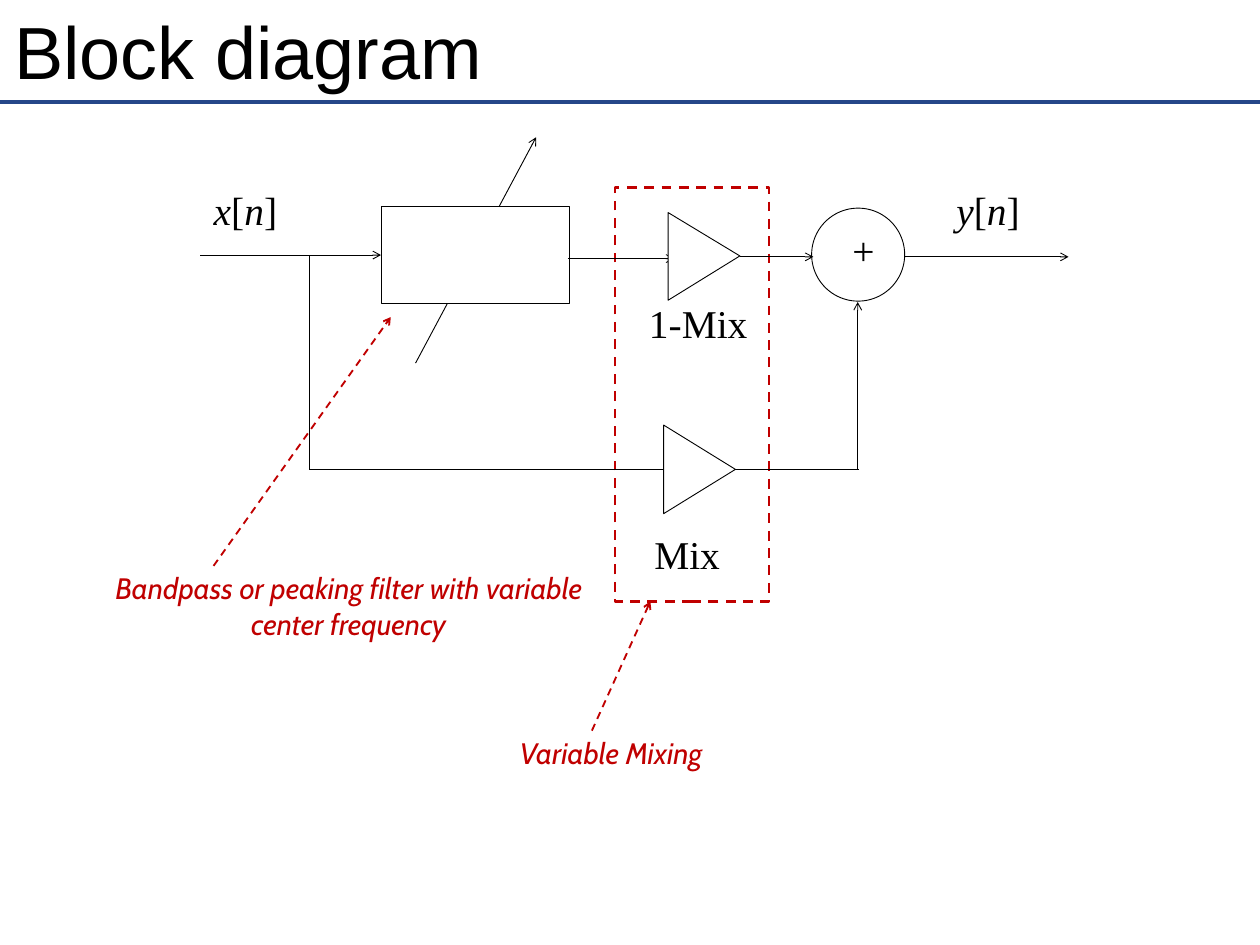
from dataclasses import dataclass

from lxml.etree import SubElement
from pptx import Presentation
from pptx.dml.color import RGBColor
from pptx.enum.dml import MSO_LINE_DASH_STYLE as Dash
from pptx.enum.shapes import MSO_CONNECTOR as Connector, MSO_SHAPE as Preset
from pptx.enum.text import MSO_ANCHOR as Anchor, MSO_AUTO_SIZE as AutoSize, PP_ALIGN as Align
from pptx.oxml.ns import qn
from pptx.util import Emu, Pt

COLORS = {"ink": "000000", "paper": "FFFFFF", "note": "C00000", "rule": "254789"}
SERIF, SANS, TITLE_FONT = "Times New Roman", "Cabin", "Arial"
EMU_PER_PX = 9144


@dataclass(frozen=True)
class Wire:
    start: tuple[int, int]
    end: tuple[int, int]
    arrow: bool = False
    color: str = "ink"
    width: float = 0.75
    dashed: bool = False


@dataclass(frozen=True)
class Block:
    box: tuple[int, int, int, int]
    preset: Preset = Preset.RECTANGLE


@dataclass(frozen=True)
class Gain:
    left: int
    top: int
    width: int
    height: int


@dataclass(frozen=True)
class Label:
    box: tuple[int, int, int, int]
    wording: tuple[tuple[str, bool], ...]
    font: str = SERIF
    size: int = 32
    color: str = "ink"
    wrap: bool = False
    inset: tuple[int, int] = (0, 0)


def px(*lengths: int) -> list[Emu]:
    return [Emu(length * EMU_PER_PX) for length in lengths]


def rgb(name: str) -> RGBColor:
    return RGBColor.from_string(COLORS[name])


def style_line(line, color: str, width: float, dashed: bool = False) -> None:
    line.color.rgb = rgb(color)
    line.width = Pt(width)
    if dashed:
        line.dash_style = Dash.DASH


def style_font(font, name: str, size: int, color: str) -> None:
    font.name = name
    font.size = Pt(size)
    font.color.rgb = rgb(color)


def draw_wire(shapes, wire: Wire):
    connector = shapes.add_connector(Connector.STRAIGHT, *px(*wire.start, *wire.end))
    style_line(connector.line, wire.color, wire.width, wire.dashed)
    properties = connector._element.spPr
    if wire.arrow:
        SubElement(properties.find(qn("a:ln")), qn("a:tailEnd"), type="arrow")
    SubElement(properties, qn("a:effectLst"))
    return connector


def style_block(shape) -> None:
    shape.shadow.inherit = False
    shape.fill.solid()
    shape.fill.fore_color.rgb = rgb("paper")
    style_line(shape.line, "ink", 0.75)


def draw_block(shapes, block: Block):
    shape = shapes.add_shape(block.preset, *px(*block.box))
    style_block(shape)
    return shape


def draw_gain(shapes, gain: Gain) -> None:
    bottom = gain.top + gain.height
    tip = (gain.left + gain.width, gain.top + gain.height // 2)
    outline = shapes.build_freeform(gain.left, bottom, scale=EMU_PER_PX)
    outline.add_line_segments([(gain.left, gain.top), tip], close=True)
    style_block(outline.convert_to_shape())


def draw_label(shapes, label: Label) -> None:
    frame = shapes.add_textbox(*px(*label.box)).text_frame
    frame.margin_left = frame.margin_right = px(label.inset[0])[0]
    frame.margin_top = frame.margin_bottom = px(label.inset[1])[0]
    frame.word_wrap = label.wrap
    frame.auto_size = AutoSize.SHAPE_TO_FIT_TEXT
    paragraph = frame.paragraphs[0]
    paragraph.alignment = Align.CENTER
    for text, italic in label.wording:
        run = paragraph.add_run()
        run.text = text
        style_font(run.font, label.font, label.size, label.color)
        run.font.italic = italic


def draw_title(title) -> None:
    title.left, title.top, title.width, title.height = px(10, 6, 1401, 101)
    frame = title.text_frame
    frame.text = "Block diagram"
    frame.vertical_anchor = Anchor.MIDDLE
    frame.auto_size = AutoSize.NONE
    frame.margin_left = frame.margin_right = frame.margin_top = frame.margin_bottom = px(6)[0]
    frame.paragraphs[0].alignment = Align.LEFT
    style_font(frame.paragraphs[0].runs[0].font, TITLE_FONT, 60, "ink")


def signal(name: str) -> tuple[tuple[str, bool], ...]:
    return (name, True), ("[", False), ("n", True), ("]", False)


def note(box: tuple[int, int, int, int], text: str, wrap: bool = False) -> Label:
    return Label(box, ((text, True),), SANS, 24, "note", wrap, (10, 5))


def pointer(start: tuple[int, int], end: tuple[int, int]) -> Wire:
    return Wire(start, end, True, "note", 1.5, True)


TITLE_RULE = Wire((0, 115), (1422, 115), color="rule", width=3)
TUNING_ARROW = Wire((469, 410), (605, 155), True)
INPUT_WIRE = Wire((226, 288), (430, 288), True)
FILTER = Block((430, 233, 213, 110))
ADDER = Block((916, 235, 105, 105), Preset.OVAL)
MIXING_BOX = (694, 212, 174, 467)

POINTERS = (
    pointer((241, 639), (441, 358)),
    pointer((668, 825), (734, 679)),
)
WIRES = (
    Wire((641, 292), (761, 292), True),
    Wire((349, 288), (349, 530)),
    Wire((349, 530), (749, 530)),
    Wire((835, 290), (918, 290), True),
    Wire((1021, 290), (1206, 290), True),
    Wire((968, 530), (968, 341), True),
    Wire((830, 530), (970, 530)),
)
GAINS = (Gain(754, 240, 81, 99), Gain(749, 480, 81, 100))
LABELS = (
    note((565, 825, 249, 50), "Variable Mixing"),
    note((120, 639, 547, 91), "Bandpass or peaking filter with variable center frequency", True),
    Label((241, 210, 72, 54), signal("x")),
    Label((1079, 210, 72, 54), signal("y")),
    Label((962, 255, 25, 54), (("+", False),)),
    Label((732, 338, 112, 54), (("1-Mix", False),)),
    Label((738, 599, 75, 54), (("Mix", False),)),
)


def main() -> None:
    deck = Presentation()
    deck.slide_width, deck.slide_height = px(1422, 1067)
    shapes = deck.slides.add_slide(deck.slide_layouts[5]).shapes
    draw_title(shapes.title)
    for wire in (TITLE_RULE, *POINTERS):
        draw_wire(shapes, wire)

    mixing = shapes.add_shape(Preset.RECTANGLE, *px(*MIXING_BOX))
    mixing.shadow.inherit = False
    mixing.fill.background()
    style_line(mixing.line, "note", 2, True)

    draw_wire(shapes, TUNING_ARROW)
    bandpass = draw_block(shapes, FILTER)
    draw_wire(shapes, INPUT_WIRE).end_connect(bandpass, 1)
    draw_block(shapes, ADDER)
    for wire in WIRES:
        draw_wire(shapes, wire)
    for gain in GAINS:
        draw_gain(shapes, gain)
    for label in LABELS:
        draw_label(shapes, label)
    deck.save("out.pptx")


if __name__ == "__main__":
    main()
